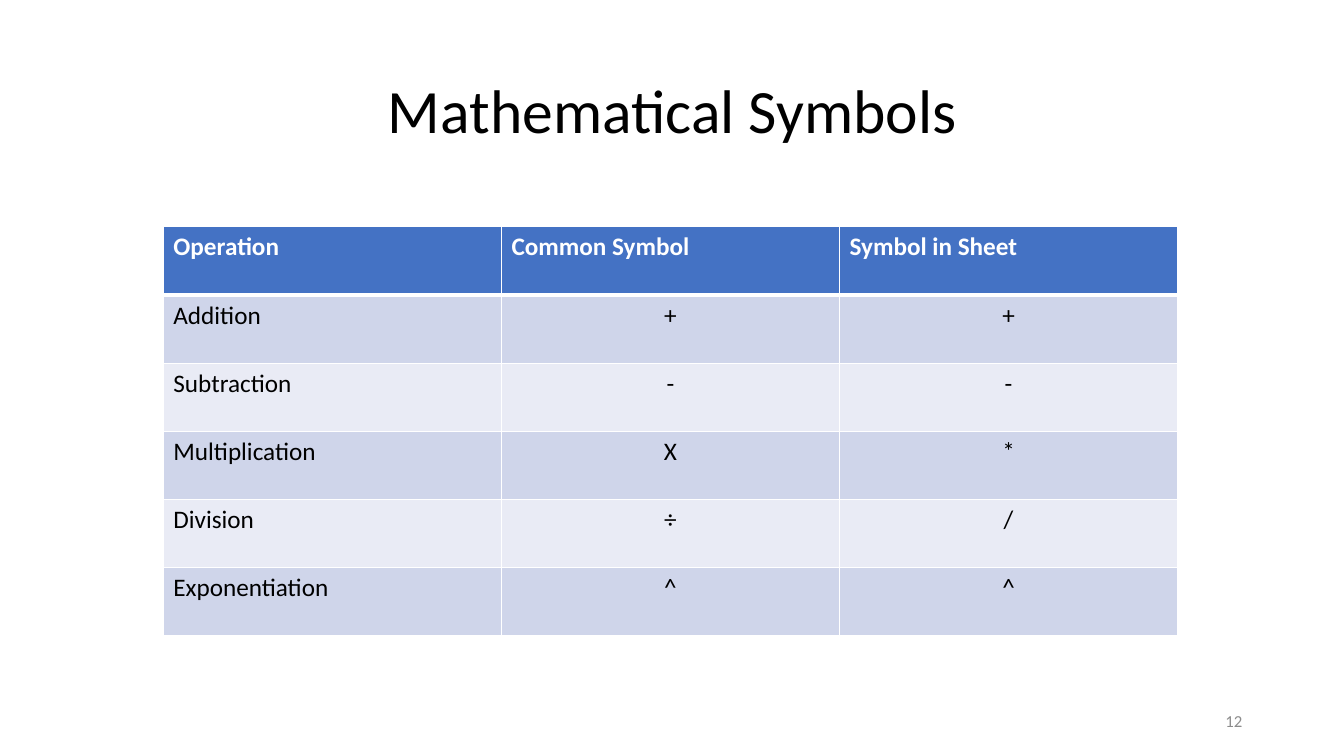
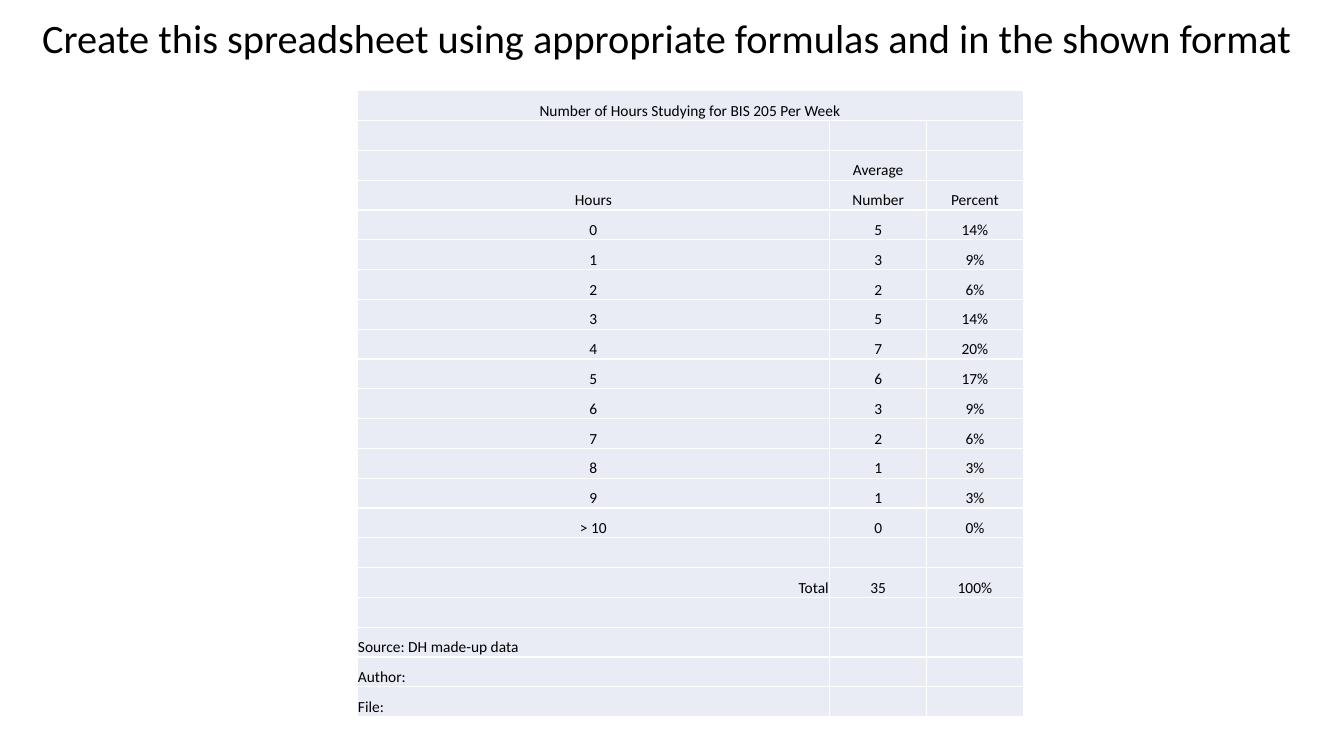
from dataclasses import dataclass

import lxml.etree
import pptx
import pptx.dml.color
import pptx.enum.text
import pptx.oxml.ns
import pptx.util

Inches = pptx.util.Inches
Pt = pptx.util.Pt
qn = pptx.oxml.ns.qn
ALIGN = pptx.enum.text.PP_ALIGN
ANCHOR = pptx.enum.text.MSO_ANCHOR

# Shared look
FONT = "Calibri"
COLORS = {
    "text": "000000",
    "white": "FFFFFF",
    "muted": "8C8C8C",
    "header": "4472C4",
    "band": "CFD5EA",
    "pale": "E9EBF5",
}


@dataclass
class Area:
    left: float
    top: float
    width: float
    height: float

    def lengths(self) -> tuple:
        return tuple(Inches(v) for v in (self.left, self.top, self.width, self.height))


@dataclass
class CellStyle:
    fill: str = "pale"
    color: str = "text"
    size: float = 18
    bold: bool = False
    align: ALIGN = ALIGN.LEFT
    anchor: ANCHOR = ANCHOR.TOP
    margins: tuple = (0.1, 0.05, 0.1, 0.05)
    line_top: float = 1
    line_bottom: float = 1


def color(name: str) -> pptx.dml.color.RGBColor:
    return pptx.dml.color.RGBColor.from_string(COLORS[name])


def write(para, text: str, *, size: float, ink: str = "text", bold: bool = False,
          align: ALIGN = ALIGN.LEFT) -> None:
    """Fill a paragraph; an empty one keeps its text size."""
    para.alignment = align
    if not text:
        lxml.etree.SubElement(para._p, qn("a:endParaRPr"), sz=str(int(size * 100)))
        return
    span = para.add_run()
    span.text = text
    span.font.name = FONT
    span.font.size = Pt(size)
    span.font.bold = bold
    span.font.color.rgb = color(ink)


def add_text(page, area: Area, text: str, *, spacing: float = 1.0, **text_format) -> None:
    frame = page.shapes.add_textbox(*area.lengths()).text_frame
    frame.word_wrap = True
    frame.vertical_anchor = ANCHOR.MIDDLE
    frame.paragraphs[0].line_spacing = spacing
    write(frame.paragraphs[0], text, **text_format)


def add_title(page, area: Area, text: str, **text_format) -> None:
    add_text(page, area, text, spacing=0.9, **text_format)


def add_borders(cell, top: float, bottom: float) -> None:
    properties = cell._tc.get_or_add_tcPr()
    for side, width in (("L", 1), ("R", 1), ("T", top), ("B", bottom)):
        line = lxml.etree.SubElement(properties, qn(f"a:ln{side}"), w=str(Pt(width)))
        fill = lxml.etree.SubElement(line, qn("a:solidFill"))
        lxml.etree.SubElement(fill, qn("a:srgbClr"), val=COLORS["white"])


def fill_cell(cell, text: str, style: CellStyle) -> None:
    add_borders(cell, style.line_top, style.line_bottom)
    cell.fill.solid()
    cell.fill.fore_color.rgb = color(style.fill)
    cell.vertical_anchor = style.anchor
    (cell.margin_left, cell.margin_top,
     cell.margin_right, cell.margin_bottom) = map(Inches, style.margins)
    write(cell.text_frame.paragraphs[0], text, size=style.size, ink=style.color,
          bold=style.bold, align=style.align)


def add_grid(page, area: Area, widths: list, rows: list, style_of):
    """Draw a table with equal rows; style_of(row, column) styles each cell."""
    table = page.shapes.add_table(len(rows), len(widths), *area.lengths()).table
    table.first_row = table.horz_banding = False
    for column, width in zip(table.columns, widths):
        column.width = Inches(width)
    for row_index, texts in enumerate(rows):
        table.rows[row_index].height = Inches(area.height / len(rows))
        for column_index, text in enumerate(texts):
            fill_cell(table.cell(row_index, column_index), text,
                      style_of(row_index, column_index))
    return table


deck = pptx.Presentation()
deck.slide_width, deck.slide_height = Inches(13.33), Inches(7.5)
BLANK = deck.slide_layouts[6]

# Slide 1: operations and their symbols
page = deck.slides.add_slide(BLANK)
add_title(page, Area(0.92, 0.4, 11.5, 1.45), "Mathematical Symbols",
          size=44, align=ALIGN.CENTER)
add_text(page, Area(9.42, 6.95, 3, 0.4), "12", size=12, ink="muted", align=ALIGN.RIGHT)

SYMBOLS = [
    ("Operation", "Common Symbol", "Symbol in Sheet"),
    ("Addition", "+", "+"),
    ("Subtraction", "-", "-"),
    ("Multiplication", "X", "*"),
    ("Division", "÷", "/"),
    ("Exponentiation", "^", "^"),
]


def symbol_style(row: int, column: int) -> CellStyle:
    if row == 0:
        return CellStyle(fill="header", color="white", bold=True, line_bottom=3)
    return CellStyle(fill="band" if row % 2 else "pale",
                     align=ALIGN.CENTER if column else ALIGN.LEFT,
                     line_top=3 if row == 1 else 1)


symbol_area = Area(1.62, 2.25, 10.06, 4.06)
add_grid(page, symbol_area, [symbol_area.width / 3] * 3, SYMBOLS, symbol_style)

# Slide 2: spreadsheet exercise
page = deck.slides.add_slide(BLANK)
add_title(page, Area(0.32, 0.16, 12.78, 0.49),
          "Create this spreadsheet using appropriate formulas and in the shown format",
          size=28.8)

HOURS = [*map(str, range(10)), "> 10"]
COUNTS = [5, 3, 2, 5, 7, 6, 3, 2, 1, 1, 0]
TOTAL = sum(COUNTS)
EMPTY = ("", "", "")
NOTES = ["Source: DH made-up data", "Author:", "File:"]
study_rows = [
    ("Number of Hours Studying for BIS 205 Per Week", "", ""),
    EMPTY,
    ("", "Average", ""),
    ("Hours", "Number", "Percent"),
    *((hour, str(count), f"{count / TOTAL:.0%}") for hour, count in zip(HOURS, COUNTS)),
    EMPTY,
    ("Total", str(TOTAL), "100%"),
    EMPTY,
    *((note, "", "") for note in NOTES),
]


def study_style(row: int, column: int) -> CellStyle:
    text = study_rows[row][column]
    align = ALIGN.CENTER
    if text == "Total":
        align = ALIGN.RIGHT
    elif text in NOTES:
        align = ALIGN.LEFT
    return CellStyle(size=11, align=align, anchor=ANCHOR.BOTTOM,
                     margins=(0.01, 0.01, 0.01, 0))


study_table = add_grid(page, Area(3.54, 0.9, 6.61, 6.21), [4.69, 0.96, 0.96],
                       study_rows, study_style)
study_table.cell(0, 0).merge(study_table.cell(0, 2))

deck.save("out.pptx")
